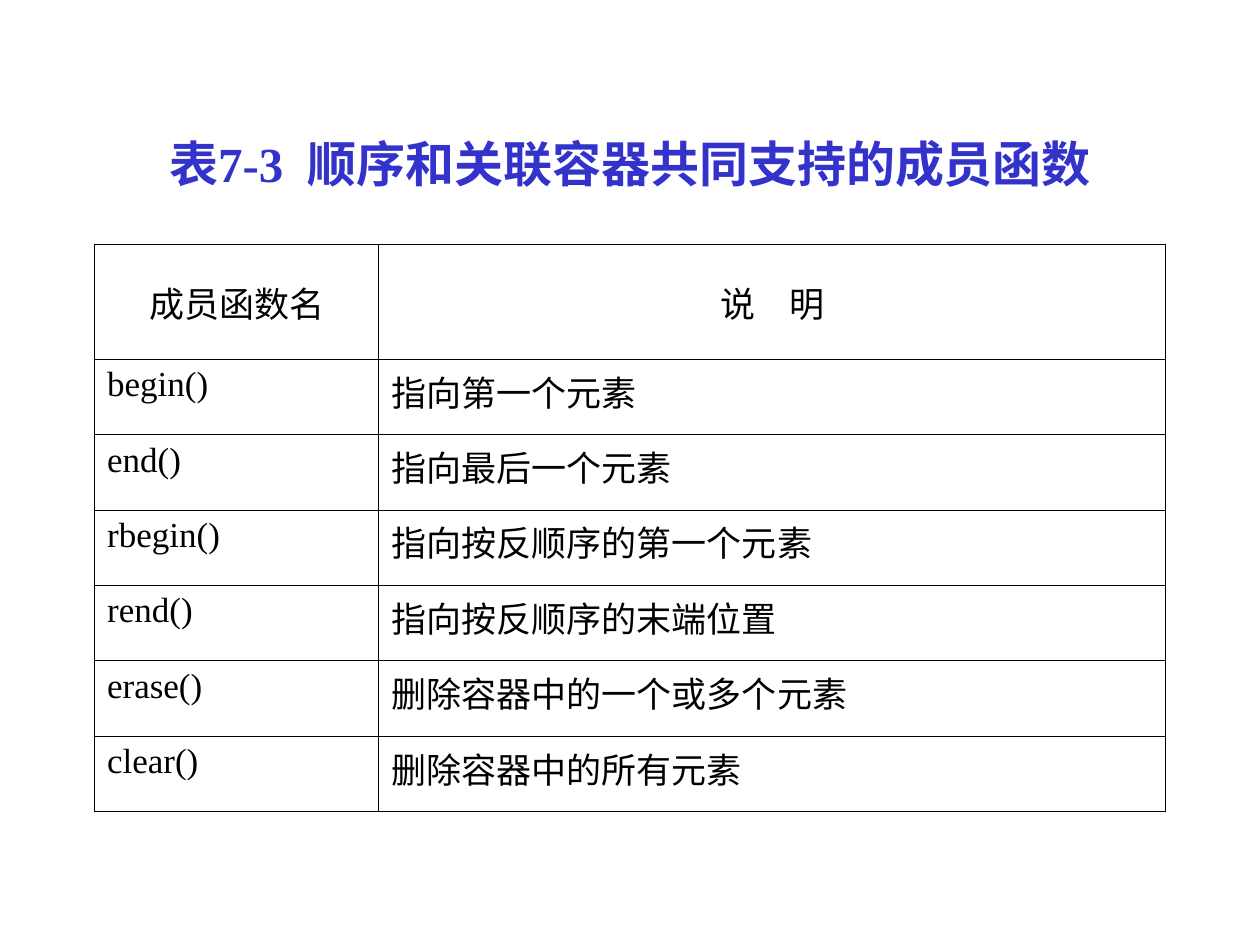
from lxml.etree import SubElement
from pptx import Presentation
from pptx.dml.color import RGBColor
from pptx.enum.text import MSO_ANCHOR, PP_ALIGN
from pptx.oxml.ns import qn
from pptx.util import Pt

COLORS = {"title": "3333CC", "text": "000000", "border": "000000"}
FONT = "Times New Roman"
MARGIN, CONTENT_WIDTH = 54, 612
COLUMN_WIDTHS = [162.5, 449.5]
HEADER_HEIGHT, ROW_HEIGHT = 65.5, 43.1
ROWS = [
    ("成员函数名", "说 明"),
    ("begin()", "指向第一个元素"),
    ("end()", "指向最后一个元素"),
    ("rbegin()", "指向按反顺序的第一个元素"),
    ("rend()", "指向按反顺序的末端位置"),
    ("erase()", "删除容器中的一个或多个元素"),
    ("clear()", "删除容器中的所有元素"),
]


def write_text(frame, text, size=20, color="text", bold=False,
               align=PP_ALIGN.LEFT, hanging=0, gap=0):
    """Write one paragraph; gap widens each space by that many points."""
    frame.word_wrap = True
    para = frame.paragraphs[0]
    para.alignment = align
    if hanging:
        properties = para._p.get_or_add_pPr()
        properties.set("marL", str(Pt(hanging)))
        properties.set("indent", str(-Pt(hanging)))
    for piece in text.replace(" ", "| |").split("|"):
        span = para.add_run()
        span.text = piece
        span.font.name = FONT
        span.font.size = Pt(size)
        span.font.bold = bold
        span.font.color.rgb = RGBColor.from_string(COLORS[color])
        if piece == " ":
            span.font._element.set("spc", str(gap * 100))


def add_borders(cell, width=0.45):
    properties = cell._tc.get_or_add_tcPr()
    for side in ("lnL", "lnR", "lnT", "lnB"):
        line = SubElement(properties, qn(f"a:{side}"), w=str(Pt(width)))
        fill = SubElement(line, qn("a:solidFill"))
        SubElement(fill, qn("a:srgbClr"), val=COLORS["border"])


# Page
deck = Presentation()
deck.slide_width, deck.slide_height = Pt(720), Pt(540)
page = deck.slides.add_slide(deck.slide_layouts[5])

# Title
title = page.shapes.title
title.left, title.top = Pt(MARGIN), Pt(48)
title.width, title.height = Pt(CONTENT_WIDTH), Pt(90)
title.text_frame.vertical_anchor = MSO_ANCHOR.MIDDLE
write_text(title.text_frame, "表7-3 顺序和关联容器共同支持的成员函数", size=28,
           color="title", bold=True, align=PP_ALIGN.CENTER, gap=7)

# Table of member functions
table_height = HEADER_HEIGHT + ROW_HEIGHT * (len(ROWS) - 1)
table = page.shapes.add_table(len(ROWS), len(COLUMN_WIDTHS), Pt(MARGIN), Pt(139.75),
                              Pt(CONTENT_WIDTH), Pt(table_height)).table
table.first_row = table.horz_banding = False
for column, width in zip(table.columns, COLUMN_WIDTHS):
    column.width = Pt(width)

for row_index, texts in enumerate(ROWS):
    is_header = row_index == 0
    table.rows[row_index].height = Pt(HEADER_HEIGHT if is_header else ROW_HEIGHT)
    for column_index, text in enumerate(texts):
        cell = table.cell(row_index, column_index)
        cell.vertical_anchor = MSO_ANCHOR.MIDDLE if is_header else MSO_ANCHOR.TOP
        add_borders(cell)
        cell.fill.background()
        write_text(cell.text_frame, text, hanging=27, gap=15,
                   align=PP_ALIGN.CENTER if is_header else PP_ALIGN.LEFT)

deck.save("out.pptx")
